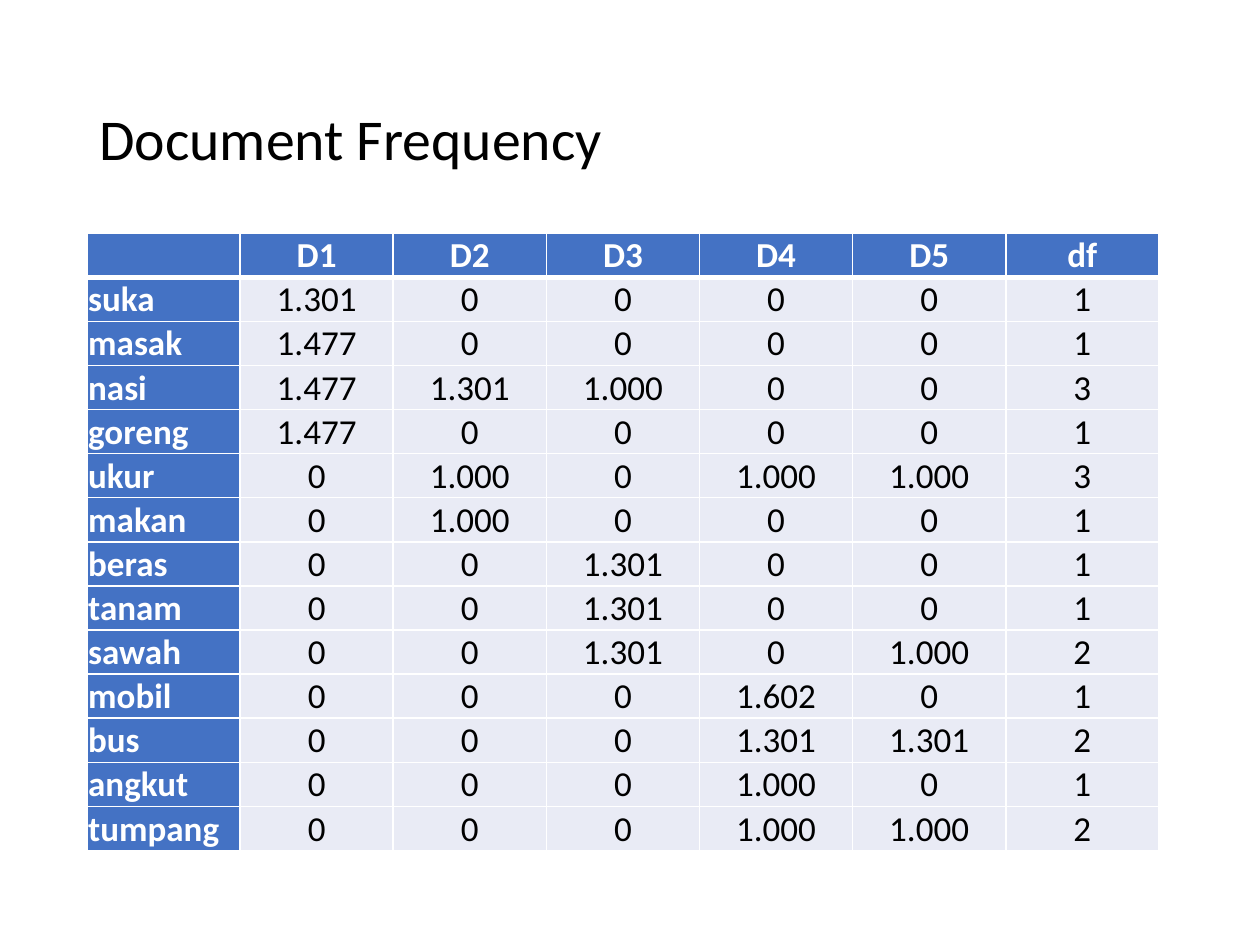
from lxml.etree import SubElement
from pptx import Presentation
from pptx.dml.color import RGBColor
from pptx.enum.text import MSO_ANCHOR, PP_ALIGN
from pptx.oxml.ns import qn
from pptx.util import Inches, Pt

TITLE = "Document Frequency"
HEADER = ["", "D1", "D2", "D3", "D4", "D5", "df"]
TERMS = [
    ("suka", "1.301", "0", "0", "0", "0", "1"),
    ("masak", "1.477", "0", "0", "0", "0", "1"),
    ("nasi", "1.477", "1.301", "1.000", "0", "0", "3"),
    ("goreng", "1.477", "0", "0", "0", "0", "1"),
    ("ukur", "0", "1.000", "0", "1.000", "1.000", "3"),
    ("makan", "0", "1.000", "0", "0", "0", "1"),
    ("beras", "0", "0", "1.301", "0", "0", "1"),
    ("tanam", "0", "0", "1.301", "0", "0", "1"),
    ("sawah", "0", "0", "1.301", "0", "1.000", "2"),
    ("mobil", "0", "0", "0", "1.602", "0", "1"),
    ("bus", "0", "0", "0", "1.301", "1.301", "2"),
    ("angkut", "0", "0", "0", "1.000", "0", "1"),
    ("tumpang", "0", "0", "0", "1.000", "1.000", "2"),
]

FONT = "Calibri"
BLACK = RGBColor(0x00, 0x00, 0x00)
WHITE = RGBColor(0xFF, 0xFF, 0xFF)
BLUE = RGBColor(0x44, 0x72, 0xC4)
PALE = RGBColor(0xE9, 0xEB, 0xF5)
LEFT, TABLE_TOP, TABLE_WIDTH = Inches(0.69), Inches(1.85), Inches(8.51)
ROW_HEIGHT = Inches(0.35)


def style_font(font, size, color, bold=False):
    font.name = FONT
    font.size = Pt(size)
    font.bold = bold
    font.color.rgb = color


def set_borders(cell, widths):
    tc_pr = cell._tc.get_or_add_tcPr()
    for side, width in zip("LRTB", widths):
        ln = SubElement(tc_pr, qn(f"a:ln{side}"), w=str(Pt(width)))
        fill = SubElement(ln, qn("a:solidFill"))
        SubElement(fill, qn("a:srgbClr"), val=str(WHITE))


def add_title(slide):
    box = slide.shapes.add_textbox(LEFT, Inches(0.4), Inches(8.62), Inches(1.45))
    tf = box.text_frame
    tf.word_wrap = True
    tf.vertical_anchor = MSO_ANCHOR.MIDDLE
    tf.text = TITLE
    p = tf.paragraphs[0]
    p.line_spacing = 0.9
    style_font(p.runs[0].font, 33, BLACK)


def fill_cell(cell, text, row, col):
    heading = row == 0 or col == 0
    cell.text = text
    cell.vertical_anchor = MSO_ANCHOR.BOTTOM
    cell.margin_left = cell.margin_right = cell.margin_top = Inches(0.01)
    cell.margin_bottom = 0
    below_header = 3 if row == 0 else 1
    above = 3 if row == 1 else 1
    set_borders(cell, (1, 1, above, below_header))
    cell.fill.solid()
    cell.fill.fore_color.rgb = BLUE if heading else PALE
    p = cell.text_frame.paragraphs[0]
    p.alignment = PP_ALIGN.LEFT if col == 0 else PP_ALIGN.CENTER
    style_font(p.font, 20, WHITE if heading else BLACK, heading)
    for r in p.runs:
        style_font(r.font, 20, WHITE if heading else BLACK, heading)


def add_frequency_table(slide):
    rows = [HEADER, *TERMS]
    table = slide.shapes.add_table(
        len(rows), len(HEADER), LEFT, TABLE_TOP, TABLE_WIDTH, ROW_HEIGHT * len(rows)
    ).table
    table.first_col = True
    table.horz_banding = False
    for column in table.columns:
        column.width = TABLE_WIDTH // len(HEADER)
    for i, values in enumerate(rows):
        table.rows[i].height = ROW_HEIGHT
        for j, text in enumerate(values):
            fill_cell(table.cell(i, j), text, i, j)


def main():
    prs = Presentation()
    prs.slide_width, prs.slide_height = Inches(10), Inches(7.5)
    slide = prs.slides.add_slide(prs.slide_layouts[6])
    add_title(slide)
    add_frequency_table(slide)
    prs.save("out.pptx")


if __name__ == "__main__":
    main()
